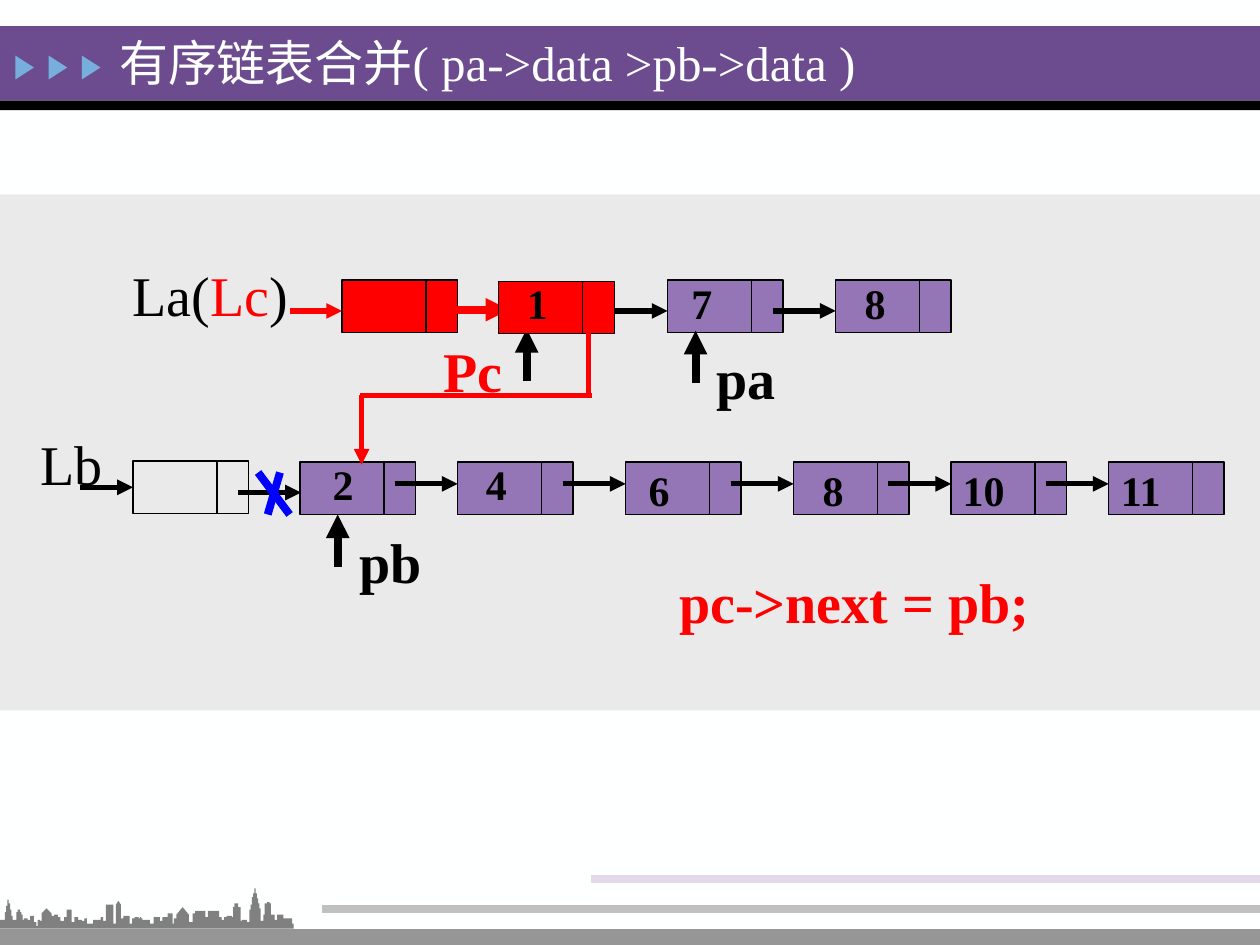
from collections import namedtuple
from itertools import pairwise

from lxml import etree
from pptx import Presentation
from pptx import util as u
from pptx.dml import color
from pptx.enum import shapes, text
from pptx.oxml import ns

Box = namedtuple("Box", "left top width height")
Pt = u.Pt
FONT = "Times New Roman"
BLACK, WHITE, RED, BLUE = "000000", "FEFFFF", "FF0000", "0000FF"
PURPLE, BANNER, PANEL, SKY = "9476B6", "6C4C8F", "EAEAEA", "76AEDD"
DATA_WIDTH, LINK_WIDTH, NODE_HEIGHT = 48, 18, 30
ARROW_LENGTH = 36
SKYLINE = [
    (0, 7), (4, 13), (5, 18), (6, 23), (7, 20), (8, 15), (9, 10), (10, 7),
    (13, 13), (14, 15), (16, 13), (17, 11), (18, 7), (19, 8), (22, 7),
    (24, 10), (27, 5), (29, 2), (30, 7), (32, 6), (33, 12), (41, 10),
    (43, 11), (46, 9), (48, 6), (51, 9), (53, 15), (57, 5), (59, 9),
    (62, 7), (65, 6), (67, 8), (69, 4), (74, 7), (80, 9), (82, 6), (84, 19),
    (90, 4), (92, 19), (96, 8), (98, 10), (103, 4), (105, 8), (107, 9),
    (110, 8), (111, 9), (112, 8), (113, 7), (119, 4), (122, 9), (127, 6),
    (129, 9), (133, 12), (137, 4), (138, 8), (140, 11), (150, 5), (153, 12),
    (155, 14), (163, 9), (165, 14), (174, 9), (176, 7), (178, 9), (180, 10),
    (184, 9), (185, 17), (186, 20), (189, 17), (191, 6), (192, 7), (196, 5),
    (198, 15), (199, 19), (200, 25), (201, 28), (202, 32), (203, 28),
    (204, 24), (205, 20), (206, 16), (207, 6), (209, 11), (210, 20),
    (212, 21), (214, 20), (215, 11), (218, 7), (220, 11), (225, 8),
    (232, 4), (233, 0),
]
ROOF_PEAKS = {33: (37, 16), 92: (94, 22), 140: (145, 17)}


def rgb(value):
    return color.RGBColor.from_string(value)


def paint(shape, fill=None, line=None):
    shape.shadow.inherit = False
    if fill:
        shape.fill.solid()
        shape.fill.fore_color.rgb = rgb(fill)
    else:
        shape.fill.background()
    if line:
        shape.line.color.rgb = rgb(line)
        shape.line.width = Pt(0.75)
    else:
        shape.line.fill.background()


def add_block(parent, box, fill=None, line=None, kind=shapes.MSO_SHAPE.RECTANGLE):
    shape = parent.shapes.add_shape(kind, *map(Pt, box))
    paint(shape, fill, line)
    return shape


def add_line(slide, start, end, line=BLACK, width=3, arrow=True):
    connector = slide.shapes.add_connector(
        shapes.MSO_CONNECTOR.STRAIGHT, *map(Pt, (*start, *end)))
    connector.line.color.rgb = rgb(line)
    connector.line.width = Pt(width)
    if arrow:
        etree.SubElement(connector.line._get_or_add_ln(), ns.qn("a:tailEnd"), type="triangle")
    etree.SubElement(connector._element.spPr, ns.qn("a:effectLst"))
    return connector


def add_label(slide, box, runs, size=32, bold=True, wrap=False, middle=False, grow=True):
    frame = slide.shapes.add_textbox(*map(Pt, box)).text_frame
    settings = {
        "word_wrap": wrap,
        "auto_size": text.MSO_AUTO_SIZE.SHAPE_TO_FIT_TEXT if grow else text.MSO_AUTO_SIZE.NONE,
        "vertical_anchor": text.MSO_ANCHOR.MIDDLE if middle else text.MSO_ANCHOR.TOP,
    }
    for name, value in settings.items():
        setattr(frame, name, value)
    for words, shade in runs:
        run = frame.paragraphs[0].add_run()
        run.text = words
        for name, value in {"name": FONT, "size": Pt(size), "bold": bold}.items():
            setattr(run.font, name, value)
        run.font.color.rgb = rgb(shade)


def add_node(slide, left, top, fill=None):
    group = slide.shapes.add_group_shape()
    data = add_block(group, Box(left, top, DATA_WIDTH, NODE_HEIGHT), fill, BLACK)
    add_block(group, Box(left + DATA_WIDTH, top, LINK_WIDTH, NODE_HEIGHT), fill, BLACK)
    return data


def add_value(slide, left, top, value):
    add_label(slide, Box(left, top, 27 if len(value) == 1 else 38.5, 36.5),
              [(value, BLACK)], size=24)


def add_pointer(slide, x, tip):
    add_line(slide, (x, tip + ARROW_LENGTH - 6), (x, tip), width=4.5)


def add_header(slide, box):
    add_block(slide, Box(box.left, box.top, box.width, 42.5), BANNER)
    add_block(slide, Box(box.left, box.top + 42.5, box.width, 5.5), BLACK)
    for index in range(3):
        triangle = add_block(
            slide, Box(box.left + 7.3 + 19 * index, box.top + 18.3, 13.6, 10.6),
            SKY, kind=shapes.MSO_SHAPE.ISOSCELES_TRIANGLE)
        triangle.rotation = 90
    add_label(slide, Box(box.left + 61, box.top, 614, 40.5),
              [("有序链表合并( pa->data >pb->data )", WHITE)],
              size=28, bold=False, wrap=True, middle=True, grow=False)


def add_merged_list(slide, box):
    left, top = box.left, box.top
    link = top + 17.7
    head, first, second, third = left, left + 89.5, left + 186, left + 282
    add_label(slide, Box(left - 127, top - 14.5, 116, 45.5),
              [("La(", BLACK), ("Lc", RED), (")", BLACK)], bold=False, wrap=True)
    add_line(slide, (left - 30, link), (head, link), RED)
    add_pointer(slide, left + 105.5, top + 28)
    add_node(slide, head, top, RED)
    add_line(slide, (left + 59.5, link - 0.7), (left + 95.5, link - 0.7), RED, 4.5)
    for node in (second, third):
        add_node(slide, node, top, PURPLE)
    for node in (second, third):
        add_line(slide, (node - ARROW_LENGTH, link), (node, link))
    add_node(slide, first, top + 0.7, RED)
    for offset, value in ((98.5, "1"), (192.5, "7"), (291.5, "8")):
        add_value(slide, left + offset, top - 5, value)
    add_label(slide, Box(left + 50.7, top + 28.6, 68, 45.5), [("Pc", RED)], wrap=True)
    add_label(slide, Box(left + 207, top + 33, 49, 46), [("pa", BLACK)])
    add_pointer(slide, left + 202, top + 29)


def add_source_list(slide, box):
    left, top = box.left, box.top
    link = top + 12.5
    nodes = [left + offset for offset in (95.5, 185.5, 281.5, 377.5, 467.5, 557.5)]
    head = add_node(slide, left, top - 0.5)
    entry = add_line(slide, (left - 30, top + 14.5), (left, top + 14.5))
    entry.end_connect(head, 1)
    add_label(slide, Box(left - 60, top - 22, 50.5, 46), [("Lb", BLACK)], bold=False)
    for node in nodes:
        add_node(slide, node, top, PURPLE)
    for node in nodes[1:]:
        add_line(slide, (node - ARROW_LENGTH, link), (node, link))
    add_line(slide, (left + 60, top + 17.5), (left + 96, top + 17.5))
    values = ((107, -5.5, "2"), (194.5, -5.5, "4"), (287.5, -2, "6"),
              (387, -2, "8"), (467, -2, "10"), (557.5, -2, "11"))
    for offset, drop, value in values:
        add_value(slide, left + offset, top + drop, value)
    add_label(slide, Box(left + 122.5, top + 34, 50.5, 46), [("pb", BLACK)])
    add_pointer(slide, left + 117, top + 30)
    for start, end in ((84, 77), (71.5, 89.5)):
        add_line(slide, (left + start, top + 6), (left + end, top + 30),
                 BLUE, 4.5, arrow=False)


def add_relink(slide, box):
    right, bottom = box.left + box.width, box.top + box.height
    middle = box.top + 36
    add_line(slide, (right, box.top), (right, middle), RED, arrow=False)
    add_line(slide, (right + 2, middle), (box.left - 1, middle), RED, arrow=False)
    add_line(slide, (box.left, middle), (box.left, bottom), RED)


def add_footer(slide, box):
    right = box.left + box.width
    for start, drop, shade, width in (
            (0, 33.7, "969696", 11.25), (184, 16.5, "C0C0C0", 4.5), (337.5, -0.5, "E2D9EB", 4.5)):
        y = box.top + drop
        add_line(slide, (box.left + start, y), (right, y), shade, width, arrow=False)
    outline = [SKYLINE[0]]
    for (x, height), (next_x, next_height) in pairwise(SKYLINE):
        if x in ROOF_PEAKS:
            outline.append(ROOF_PEAKS[x])
        outline += [(next_x, height), (next_x, next_height)]
    builder = slide.shapes.build_freeform(0, 0, scale=Pt(0.72))
    builder.add_line_segments([(x, -height) for x, height in outline])
    paint(builder.convert_to_shape(Pt(box.left), Pt(box.top + 27.6)), "808080")


def main():
    presentation = Presentation()
    presentation.slide_width, presentation.slide_height = Pt(720), Pt(540)
    slide = presentation.slides.add_slide(presentation.slide_layouts[6])
    slide.background.fill.solid()
    slide.background.fill.fore_color.rgb = rgb(WHITE)
    add_header(slide, Box(0, 15, 720, 48))
    add_block(slide, Box(0, 111, 720, 295), PANEL)
    add_merged_list(slide, Box(195.5, 160, 348, 30))
    add_source_list(slide, Box(76, 264, 624, 30))
    add_label(slide, Box(381, 320.5, 229, 45.5), [("pc->next = pb;", RED)],
              wrap=True, middle=True)
    add_relink(slide, Box(206.7, 190, 129.5, 75.5))
    add_footer(slide, Box(0, 503, 720, 37))
    presentation.save("out.pptx")


if __name__ == "__main__":
    main()
